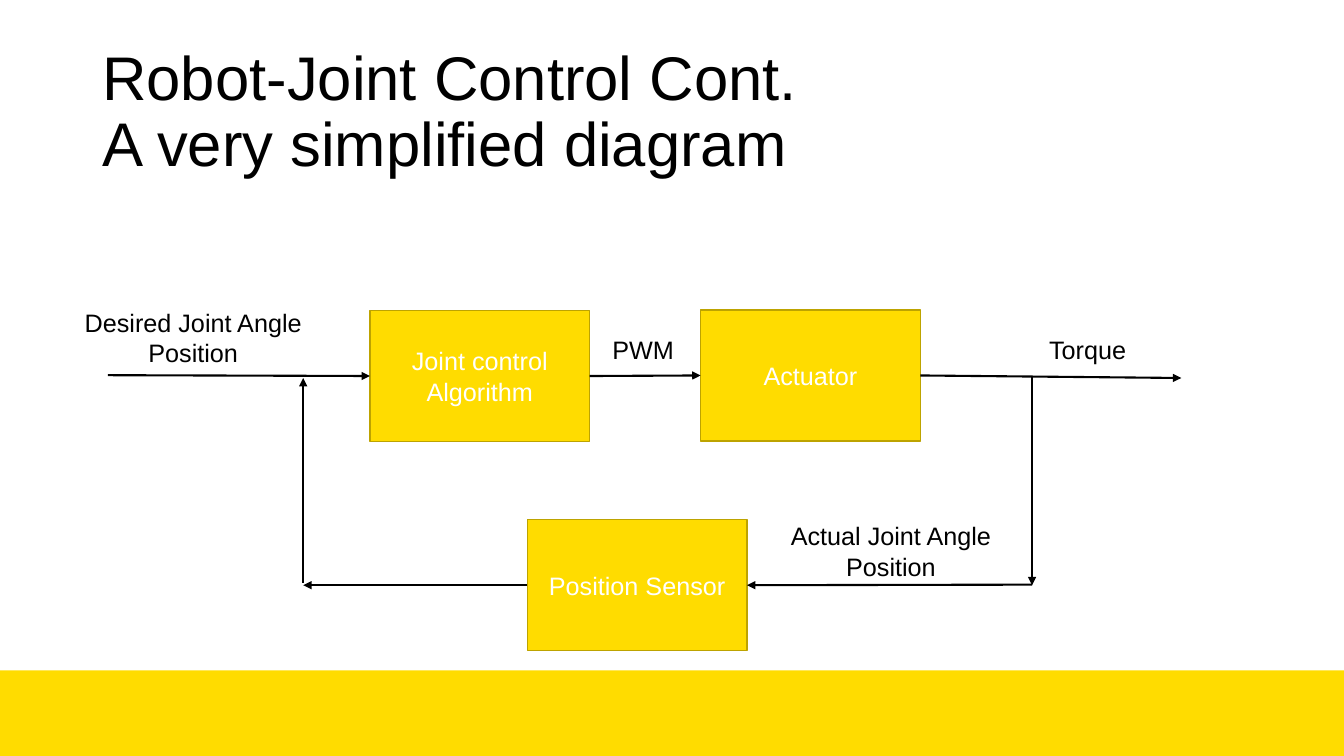
from dataclasses import dataclass
from typing import Optional

from lxml import etree
from pptx import Presentation
from pptx import util as u
from pptx.dml.color import RGBColor
from pptx.enum import shapes, text
from pptx.oxml import ns

COLORS = {"yellow": "FFDC00", "border": "BDA300", "black": "000000", "white": "FFFFFF"}
FONT = "Arial"
BLOCK_WIDTH, BLOCK_HEIGHT = 157, 93.6
LEFT, RIGHT = 1, 3  # connection sites of a rectangle


@dataclass(frozen=True)
class Block:
    label: str
    left: float
    top: float


@dataclass(frozen=True)
class Label:
    words: str
    left: float
    top: float
    width: float
    height: float


@dataclass(frozen=True)
class Signal:
    start: tuple[float, float]
    end: tuple[float, float]
    source: Optional[str] = None
    target: Optional[str] = None
    source_site: int = RIGHT
    target_site: int = LEFT


CONTROL, ACTUATOR, SENSOR = "Joint control Algorithm", "Actuator", "Position Sensor"
FORWARD_Y, FEEDBACK_Y = 268.4, 418
SUM_X, BRANCH_X = 216.6, 737.2

BLOCKS = [
    Block(CONTROL, 264.2, 221.8),
    Block(ACTUATOR, 500.4, 221.4),
    Block(SENSOR, 376.6, 371.2),
]
SIGNALS = [
    Signal((77, 268), (264.2, FORWARD_Y), target=CONTROL),
    Signal((421.2, FORWARD_Y), (500.4, FORWARD_Y), source=CONTROL, target=ACTUATOR),
    Signal((657.4, FORWARD_Y), (843.8, 270), source=ACTUATOR),
    Signal((BRANCH_X, 268.8), (BRANCH_X, FEEDBACK_Y)),
    Signal((BRANCH_X, 417.6), (533.6, FEEDBACK_Y), target=SENSOR, target_site=RIGHT),
    Signal((376.6, FEEDBACK_Y), (SUM_X, FEEDBACK_Y), source=SENSOR, source_site=LEFT),
    Signal((SUM_X, 416.4), (SUM_X, 270)),
]
LABELS = [
    Label("Desired Joint Angle Position", 53, 216, 170, 50.9),
    Label("Actual Joint Angle Position", 551.4, 368.4, 170, 50.9),
    Label("PWM", 374.4, 235.4, 170, 29),
    Label("Torque", 731.6, 235.4, 90.6, 29),
]


def color(name: str) -> RGBColor:
    return RGBColor.from_string(COLORS[name])


def write_text(shape, words: str, *, size: float = 18, ink: str = "black",
               align=text.PP_ALIGN.CENTER, anchor=text.MSO_ANCHOR.TOP,
               spacing: float = 1.0) -> None:
    frame = shape.text_frame
    frame.word_wrap = True
    frame.vertical_anchor = anchor
    paragraph = frame.paragraphs[0]
    paragraph.text = words
    paragraph.alignment = align
    paragraph.line_spacing = spacing
    for run in paragraph.runs:
        run.font.name = FONT
        run.font.size = u.Pt(size)
        run.font.color.rgb = color(ink)


def add_rectangle(slide, left: float, top: float, width: float, height: float,
                  border: Optional[str] = None):
    shape = slide.shapes.add_shape(shapes.MSO_SHAPE.RECTANGLE, u.Pt(left), u.Pt(top),
                                   u.Pt(width), u.Pt(height))
    shape.shadow.inherit = False
    shape.fill.solid()
    shape.fill.fore_color.rgb = color("yellow")
    if border:
        shape.line.color.rgb = color(border)
        shape.line.width = u.Pt(1)
    else:
        shape.line.fill.background()
    return shape


def add_block(slide, block: Block):
    shape = add_rectangle(slide, block.left, block.top, BLOCK_WIDTH, BLOCK_HEIGHT, "border")
    write_text(shape, block.label, ink="white", anchor=text.MSO_ANCHOR.MIDDLE)
    return shape


def add_signal(slide, signal: Signal, blocks: dict) -> None:
    points = [u.Pt(value) for value in signal.start + signal.end]
    connector = slide.shapes.add_connector(shapes.MSO_CONNECTOR.STRAIGHT, *points)
    if signal.source:
        connector.begin_connect(blocks[signal.source], signal.source_site)
    if signal.target:
        connector.end_connect(blocks[signal.target], signal.target_site)
    connector.line.color.rgb = color("black")
    connector.line.width = u.Pt(1.5)
    properties = connector._element.spPr
    etree.SubElement(properties.find(ns.qn("a:ln")), ns.qn("a:tailEnd"), type="triangle")
    etree.SubElement(properties, ns.qn("a:effectLst"))


def add_label(slide, label: Label, **style) -> None:
    box = slide.shapes.add_textbox(u.Pt(label.left), u.Pt(label.top),
                                   u.Pt(label.width), u.Pt(label.height))
    write_text(box, label.words, **style)


def main() -> None:
    presentation = Presentation()
    presentation.slide_width, presentation.slide_height = u.Pt(960), u.Pt(540)
    slide = presentation.slides.add_slide(presentation.slide_layouts[6])

    # Footer band and title
    add_rectangle(slide, 0, 478.8, 960, 61.2)
    add_label(slide, Label("Robot-Joint Control Cont.\vA very simplified diagram",
                           66, 28.8, 828, 104.4),
              size=44, align=text.PP_ALIGN.LEFT, anchor=text.MSO_ANCHOR.MIDDLE, spacing=0.9)

    # Control loop
    blocks = {block.label: add_block(slide, block) for block in BLOCKS}
    for signal in SIGNALS:
        add_signal(slide, signal, blocks)
    for label in LABELS:
        add_label(slide, label)

    presentation.save("out.pptx")


if __name__ == "__main__":
    main()
